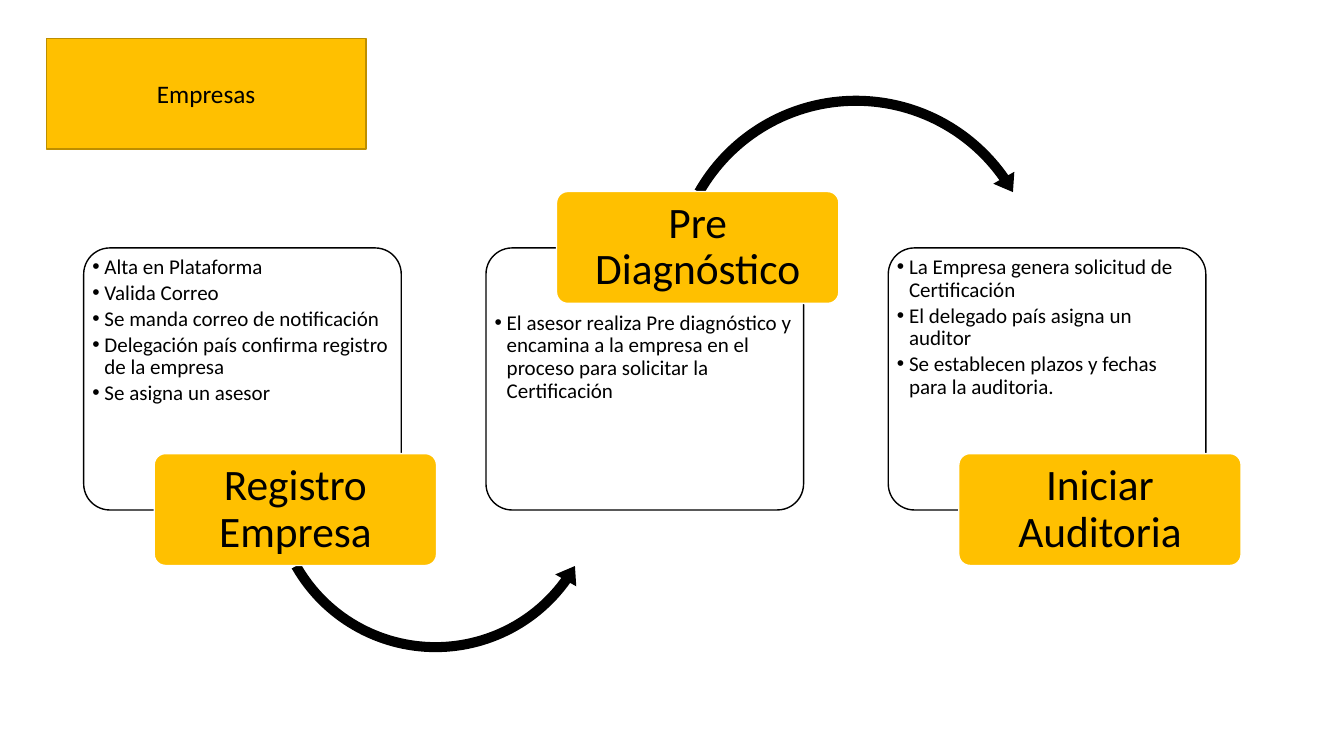
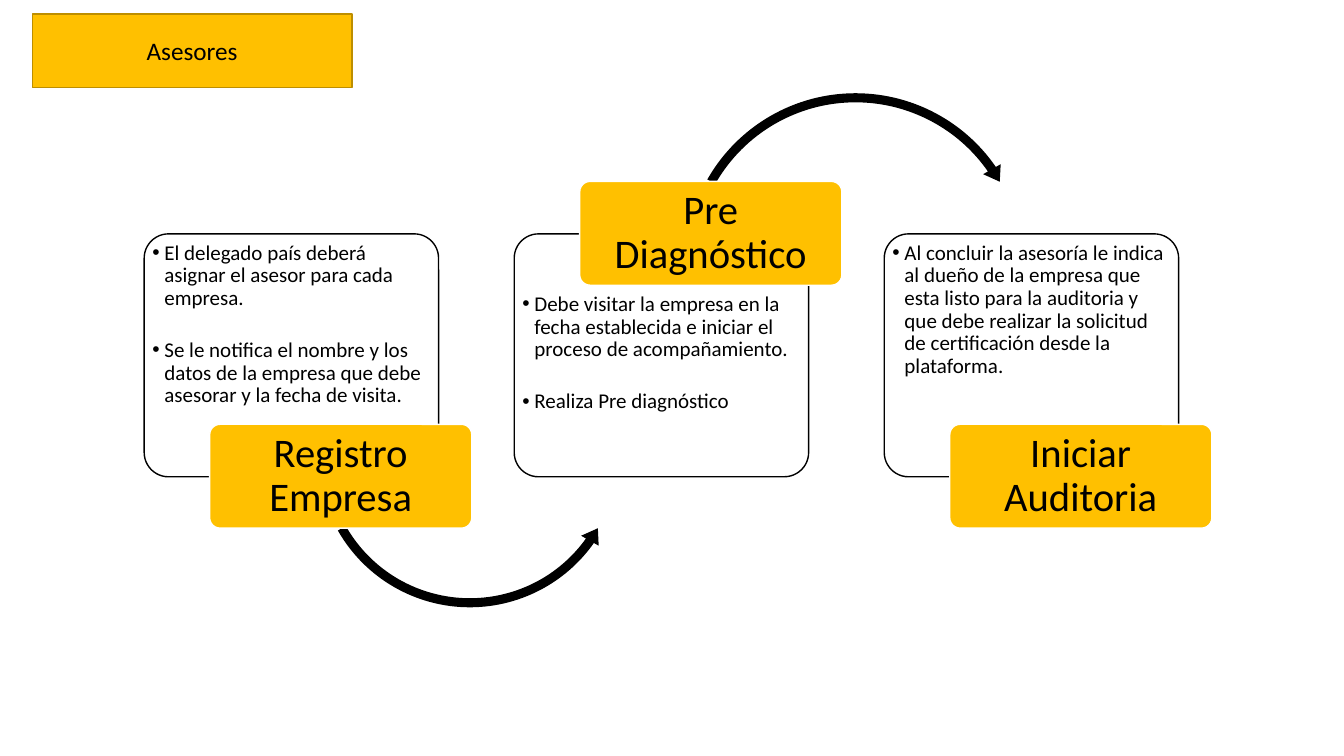
from dataclasses import dataclass
from typing import NamedTuple

from lxml.etree import SubElement
from pptx import Presentation
from pptx.dml.color import RGBColor
from pptx.enum.shapes import MSO_SHAPE
from pptx.enum.text import MSO_ANCHOR, MSO_AUTO_SIZE, PP_ALIGN
from pptx.oxml.ns import qn
from pptx.util import Emu, Pt

EMU_PER_PX = 9144
COMPARISON_LAYOUT = 4


@dataclass(frozen=True)
class Theme:
    font: str = "Calibri"
    ink: RGBColor = RGBColor(0x00, 0x00, 0x00)
    paper: RGBColor = RGBColor(0xFF, 0xFF, 0xFF)
    gold: RGBColor = RGBColor(0xFF, 0xC0, 0x00)
    gold_edge: RGBColor = RGBColor(0xBD, 0x8E, 0x00)
    title_size: int = 18
    list_size: int = 15
    line_width: int = 1
    card_opacity: int = 90
    card_radius: float = 0.1
    title_radius: float = 0.17
    tight: float = 0.9
    bullet_indent: int = 12
    item_gap: float = 2.25
    wide_gap: float = 18.75


THEME = Theme()


class Box(NamedTuple):
    left: int
    top: int
    width: int
    height: int


class Step(NamedTuple):
    name: str
    items: list[str]
    label_on_top: bool = False


class Arrow(NamedTuple):
    preset: MSO_SHAPE
    left: int
    top: int
    size: int
    head_angle: float
    end_angle: float
    start_angle: float


@dataclass(frozen=True)
class Process:
    title: str
    title_box: Box
    first_card: Box
    card_pitch: int
    label_shift: int
    label_width: int
    label_height: int
    label_size: int
    arrow_band: int
    arrow_head: int
    item_space: float
    arrows: list[Arrow]
    steps: list[Step]


PROCESSES = [
    Process(
        title="Empresas",
        title_box=Box(46, 38, 317, 110),
        first_card=Box(83, 246, 315, 260),
        card_pitch=399,
        label_shift=70,
        label_width=280,
        label_height=111,
        label_size=31,
        arrow_band=10,
        arrow_head=12,
        item_space=0,
        arrows=[
            Arrow(MSO_SHAPE.LEFT_CIRCULAR_ARROW, 261, 312, 342, 6.09, 35.69, 150.41),
            Arrow(MSO_SHAPE.CIRCULAR_ARROW, 658, 88, 382, 5.41, 325, 209.59),
        ],
        steps=[
            Step("Registro Empresa", [
                "Alta en Plataforma",
                "Valida Correo",
                "Se manda correo de notificación",
                "Delegación país confirma registro de la empresa",
                "Se asigna un asesor",
            ]),
            Step("Pre Diagnóstico", [
                "El asesor realiza Pre diagnóstico y encamina a la empresa "
                "en el proceso para solicitar la Certificación",
            ], label_on_top=True),
            Step("Iniciar Auditoria", [
                "La Empresa genera solicitud de Certificación",
                "El delegado país asigna un auditor",
                "Se establecen plazos y fechas para la auditoria.",
            ]),
        ],
    ),
    Process(
        title="Asesores",
        title_box=Box(32, 14, 317, 73),
        first_card=Box(143, 232, 292, 241),
        card_pitch=367,
        label_shift=65,
        label_width=260,
        label_height=103,
        label_size=29,
        arrow_band=9,
        arrow_head=10,
        item_space=THEME.wide_gap,
        arrows=[
            Arrow(MSO_SHAPE.LEFT_CIRCULAR_ARROW, 310, 296, 312, 5.75, 35.34, 150.41),
            Arrow(MSO_SHAPE.CIRCULAR_ARROW, 674, 87, 349, 5.1, 325.31, 209.59),
        ],
        steps=[
            Step("Registro Empresa", [
                "El delegado país deberá asignar el asesor para cada empresa.",
                "Se le notifica el nombre y los datos de la empresa que debe "
                "asesorar y la fecha de visita.",
            ]),
            Step("Pre Diagnóstico", [
                "Debe visitar la empresa en la fecha establecida e iniciar el "
                "proceso de acompañamiento.",
                "Realiza Pre diagnóstico",
            ], label_on_top=True),
            Step("Iniciar Auditoria", [
                "Al concluir la asesoría le indica al dueño de la empresa que "
                "esta listo para la auditoria y que debe realizar la solicitud "
                "de certificación desde la plataforma.",
            ]),
        ],
    ),
]


def px(length: int) -> Emu:
    return Emu(length * EMU_PER_PX)


def add_bullet(paragraph) -> None:
    properties = paragraph._p.get_or_add_pPr()
    properties.set("marL", str(px(THEME.bullet_indent)))
    properties.set("indent", str(-px(THEME.bullet_indent)))
    SubElement(properties, qn("a:buChar")).set("char", "•")


def write(shape, lines: list[str], *, size: int, align=PP_ALIGN.CENTER,
          anchor=MSO_ANCHOR.MIDDLE, inset: tuple[int, int] = (6, 4),
          spacing: float = 1.0, bullets: bool = False,
          before: float = 0, after: float = 0) -> None:
    frame = shape.text_frame
    frame.word_wrap = True
    frame.auto_size = MSO_AUTO_SIZE.NONE
    frame.vertical_anchor = anchor
    frame.margin_left = frame.margin_right = px(inset[0])
    frame.margin_top = px(inset[1])
    frame.margin_bottom = px(0)
    if anchor == MSO_ANCHOR.MIDDLE:
        frame.margin_bottom = frame.margin_top
    for index, line in enumerate(lines):
        paragraph = frame.add_paragraph() if index else frame.paragraphs[0]
        if bullets:
            add_bullet(paragraph)
        paragraph.alignment = align
        paragraph.line_spacing = spacing
        paragraph.space_before = Pt(before if index else 0)
        paragraph.space_after = Pt(after)
        run = paragraph.add_run()
        run.text = line
        run.font.name = THEME.font
        run.font.size = Pt(size)
        run.font.bold = False
        run.font.color.rgb = THEME.ink


def paint(shape, fill: RGBColor, edge: RGBColor | None) -> None:
    shape.shadow.inherit = False
    shape.fill.solid()
    shape.fill.fore_color.rgb = fill
    if edge is None:
        shape.line.fill.background()
    else:
        shape.line.color.rgb = edge
        shape.line.width = Pt(THEME.line_width)


def round_placeholder(placeholder, box: Box, radius: float) -> None:
    placeholder.left, placeholder.top, placeholder.width, placeholder.height = map(px, box)
    geometry = SubElement(placeholder.element.spPr, qn("a:prstGeom"))
    geometry.set("prst", "roundRect")
    guide = SubElement(SubElement(geometry, qn("a:avLst")), qn("a:gd"))
    guide.set("name", "adj")
    guide.set("fmla", f"val {round(radius * 100000)}")


def draw_title(placeholder, process: Process) -> None:
    round_placeholder(placeholder, process.title_box, THEME.title_radius)
    paint(placeholder, THEME.gold, THEME.gold_edge)
    write(placeholder, [process.title], size=THEME.title_size)


def draw_card(placeholder, process: Process, step: Step, box: Box) -> None:
    round_placeholder(placeholder, box, THEME.card_radius)
    paint(placeholder, THEME.paper, THEME.ink)
    tint = placeholder.element.spPr.find(qn("a:solidFill"))[0]
    SubElement(tint, qn("a:alpha")).set("val", str(THEME.card_opacity * 1000))
    top_inset = 1 + (process.label_height // 2 if step.label_on_top else 0)
    write(placeholder, step.items, size=THEME.list_size, align=PP_ALIGN.LEFT,
          anchor=MSO_ANCHOR.TOP, inset=(1, top_inset), spacing=THEME.tight,
          bullets=True, before=process.item_space, after=THEME.item_gap)


def draw_arrow(slide, process: Process, arrow: Arrow) -> None:
    size = px(arrow.size)
    curve = slide.shapes.add_shape(arrow.preset, px(arrow.left), px(arrow.top), size, size)
    angles = (arrow.head_angle, arrow.end_angle, arrow.start_angle)
    values = [process.arrow_band / arrow.size,
              *(angle * 0.6 for angle in angles),
              process.arrow_head / arrow.size]
    for index, value in enumerate(values):
        curve.adjustments[index] = value
    paint(curve, THEME.ink, None)


def draw_label(slide, process: Process, step: Step, card: Box) -> None:
    edge = card.top if step.label_on_top else card.top + card.height
    box = Box(card.left + process.label_shift, edge - round(process.label_height / 2),
              process.label_width, process.label_height)
    label = slide.shapes.add_shape(MSO_SHAPE.ROUNDED_RECTANGLE, *map(px, box))
    label.adjustments[0] = THEME.card_radius
    paint(label, THEME.gold, THEME.paper)
    write(label, [step.name], size=process.label_size, spacing=THEME.tight)


def draw_process(deck, process: Process) -> None:
    slide = deck.slides.add_slide(deck.slide_layouts[COMPARISON_LAYOUT])
    title, *bodies = list(slide.placeholders)
    draw_title(title, process)
    cards = [process.first_card._replace(left=process.first_card.left + index * process.card_pitch)
             for index in range(len(process.steps))]
    for body, step, card in zip(bodies, process.steps, cards):
        draw_card(body, process, step, card)
    for unused in bodies[len(cards):]:
        unused.element.getparent().remove(unused.element)
    for arrow in process.arrows:
        draw_arrow(slide, process, arrow)
    for step, card in zip(process.steps, cards):
        draw_label(slide, process, step, card)


def main() -> None:
    deck = Presentation()
    deck.slide_width, deck.slide_height = px(1333), px(750)
    for process in PROCESSES:
        draw_process(deck, process)
    deck.save("out.pptx")


if __name__ == "__main__":
    main()
